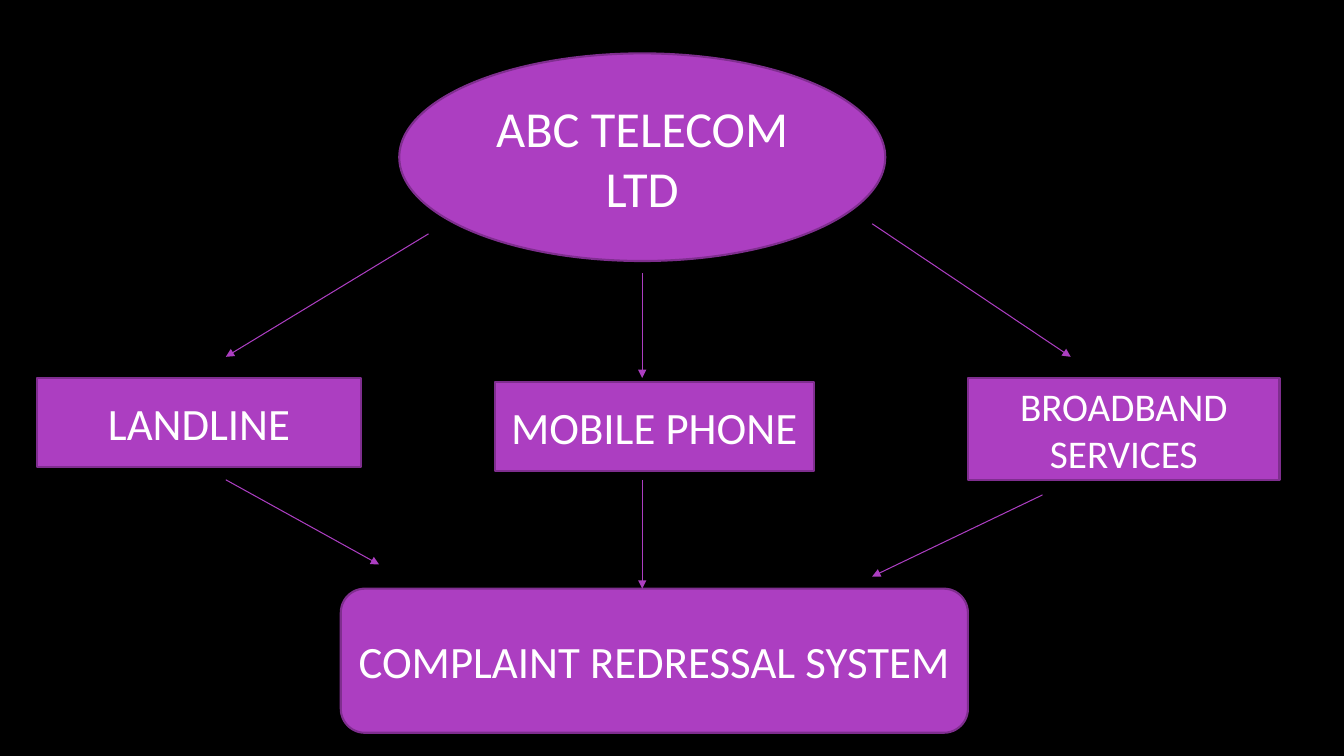
"""Build the ABC Telecom complaint flow slide."""
from dataclasses import dataclass

import lxml.etree
import pptx
import pptx.dml.color
import pptx.enum.shapes
import pptx.enum.text
import pptx.oxml.ns
import pptx.slide
import pptx.util

Inches = pptx.util.Inches
Pt = pptx.util.Pt
RGBColor = pptx.dml.color.RGBColor
Geometry = pptx.enum.shapes.MSO_SHAPE
qn = pptx.oxml.ns.qn

BLACK = RGBColor(0x00, 0x00, 0x00)
WHITE = RGBColor(0xFF, 0xFF, 0xFF)
PURPLE = RGBColor(0xAC, 0x3E, 0xC1)
DARK_PURPLE = RGBColor(0x7F, 0x2E, 0x8F)


@dataclass(frozen=True)
class Unit:
    label: str
    left: float
    top: float
    width: float
    height: float
    size: int
    geometry: Geometry = Geometry.RECTANGLE


@dataclass(frozen=True)
class Arrow:
    start: tuple[float, float]
    end: tuple[float, float]


UNITS = (
    Unit("ABC TELECOM LTD", 3.96, 0.53, 4.82, 2.06, 36, Geometry.OVAL),
    Unit("LANDLINE", 0.37, 3.75, 3.21, 0.88, 32),
    Unit("MOBILE PHONE", 4.91, 3.79, 3.16, 0.88, 32),
    Unit("BROADBAND SERVICES", 9.6, 3.75, 3.09, 1.01, 28),
    Unit("COMPLAINT REDRESSAL SYSTEM", 3.38, 5.84, 6.22, 1.43, 32,
         Geometry.ROUNDED_RECTANGLE),
)

ARROWS = (
    Arrow((4.25, 2.32), (2.24, 3.54)),
    Arrow((8.65, 2.22), (10.62, 3.54)),
    Arrow((6.37, 2.71), (6.37, 3.75)),
    Arrow((2.24, 4.76), (3.76, 5.6)),
    Arrow((6.37, 4.76), (6.37, 5.84)),
    Arrow((10.34, 4.91), (8.65, 5.72)),
)


def apply_format(target: object, values: dict[str, object]) -> None:
    for name, value in values.items():
        setattr(target, name, value)


def draw_unit(slide: pptx.slide.Slide, unit: Unit) -> None:
    node = slide.shapes.add_shape(
        unit.geometry, Inches(unit.left), Inches(unit.top),
        Inches(unit.width), Inches(unit.height))
    node.shadow.inherit = False
    node.fill.solid()
    node.fill.fore_color.rgb = PURPLE
    node.line.color.rgb = DARK_PURPLE
    node.line.width = Pt(1.5)
    apply_format(node.text_frame, {
        "text": unit.label,
        "word_wrap": True,
        "vertical_anchor": pptx.enum.text.MSO_ANCHOR.MIDDLE,
    })
    label = node.text_frame.paragraphs[0]
    label.alignment = pptx.enum.text.PP_ALIGN.CENTER
    label_font = label.runs[0].font
    apply_format(label_font, {"name": "Calibri", "size": Pt(unit.size)})
    label_font.color.rgb = WHITE


def draw_arrow(slide: pptx.slide.Slide, arrow: Arrow) -> None:
    link = slide.shapes.add_connector(
        pptx.enum.shapes.MSO_CONNECTOR.STRAIGHT,
        *(Inches(value) for value in arrow.start + arrow.end))
    link.line.color.rgb = PURPLE
    link.line.width = Pt(0.75)
    properties = link.element.find(qn("p:spPr"))
    outline = properties.find(qn("a:ln"))
    lxml.etree.SubElement(outline, qn("a:tailEnd"), type="triangle")
    lxml.etree.SubElement(properties, qn("a:effectLst"))


def main() -> None:
    deck = pptx.Presentation()
    apply_format(deck, {"slide_width": Inches(13.33),
                        "slide_height": Inches(7.5)})
    slide = deck.slides.add_slide(deck.slide_layouts.get_by_name("Blank"))
    backdrop = slide.background.fill
    backdrop.solid()
    backdrop.fore_color.rgb = BLACK
    for unit in UNITS:
        draw_unit(slide, unit)
    for arrow in ARROWS:
        draw_arrow(slide, arrow)
    deck.save("out.pptx")


if __name__ == "__main__":
    main()
